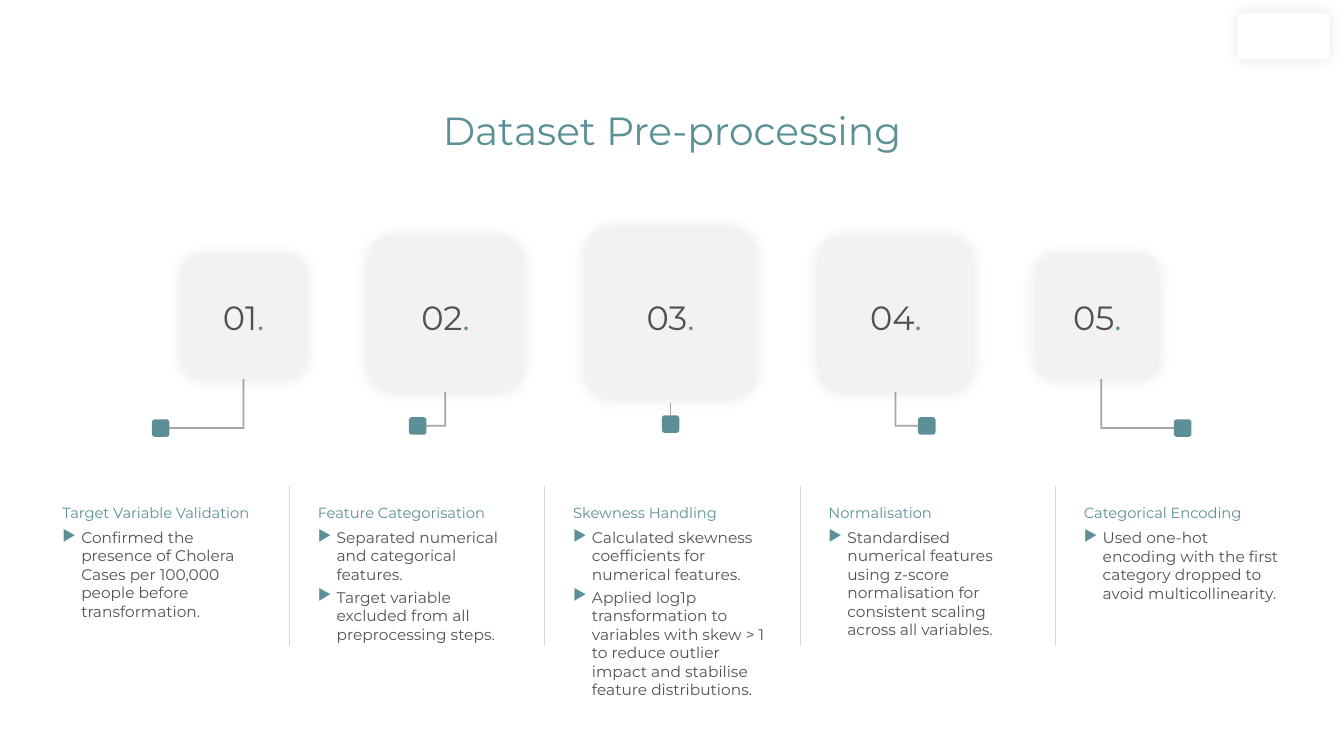
from lxml.etree import SubElement
from pptx import Presentation
from pptx.dml.color import RGBColor
from pptx.enum.shapes import MSO_CONNECTOR, MSO_SHAPE
from pptx.enum.text import MSO_AUTO_SIZE, PP_ALIGN
from pptx.oxml.ns import qn
from pptx.util import Pt

TITLE = "Dataset Pre-processing"
STEPS = [
    ("Target Variable Validation",
     ["Confirmed the presence of Cholera Cases per 100,000 people before transformation."], 5),
    ("Feature Categorisation",
     ["Separated numerical and categorical features.",
      "Target variable excluded from all preprocessing steps."], 6),
    ("Skewness Handling",
     ["Calculated skewness coefficients for numerical features.",
      "Applied log1p transformation to variables with skew > 1 to reduce outlier impact "
      "and stabilise feature distributions."], 9),
    ("Normalisation",
     ["Standardised numerical features using z-score normalisation for consistent scaling "
      "across all variables."], 6),
    ("Categorical Encoding",
     ["Used one-hot encoding with the first category dropped to avoid multicollinearity."], 4),
]
CARDS = [
    dict(center=174, top=182.2, size=88.6, stem=174, marker=(114.8, 305.8)),
    dict(center=318.2, top=169.2, size=110.9, stem=318, marker=(298.4, 304.2)),
    dict(center=479, top=162.7, size=122.4, stem=479, marker=(479, 302.9)),
    dict(center=640, top=169.2, size=110.9, stem=639.7, marker=(662, 304.2)),
    dict(center=783.8, top=182.2, size=88.6, stem=786.6, marker=(844.8, 305.8)),
]
COLORS = dict(teal="5B9196", ink="525252", card="F2F2F2", stem="A6A6A6",
              divider="D9D9D9", white="FFFFFF", shadow="000000")
FONT = "Montserrat"
COLUMN_LEFT, COLUMN_PITCH, COLUMN_WIDTH = 37.5, 182.4, 155.5
DIVIDER_LEFT, DIVIDER_TOP, DIVIDER_BOTTOM = 206.6, 347, 461.5
MARKER = 12.5
STEM_WIDTH = 1.2
STEM_GAP_TOP = 288
LINE_HEIGHT, PARAGRAPH_GAP, INDENT = 13.4, 3, 13.5

prs = Presentation()
prs.slide_width, prs.slide_height = Pt(960), Pt(540)
slide = prs.slides.add_slide(prs.slide_layouts[6])
shapes = slide.shapes


def rgb(name):
    return RGBColor.from_string(COLORS[name])


def paint(shape, color):
    shape.shadow.inherit = False
    shape.fill.solid()
    shape.fill.fore_color.rgb = rgb(color)
    shape.line.fill.background()


def add_tile(left, top, width, height, color, corner=0.16667, glow=False):
    tile = shapes.add_shape(MSO_SHAPE.ROUNDED_RECTANGLE, Pt(left), Pt(top), Pt(width), Pt(height))
    tile.adjustments[0] = corner
    paint(tile, color)
    if glow:
        effects = tile._element.spPr.find(qn("a:effectLst"))
        shadow = SubElement(effects, qn("a:outerShdw"), blurRad=str(Pt(11)), dist="0",
                            dir="0", algn="ctr", rotWithShape="0")
        tint = SubElement(shadow, qn("a:srgbClr"), val=COLORS["shadow"])
        SubElement(tint, qn("a:alpha"), val="9000")
    return tile


def add_bullet(paragraph):
    props = paragraph._p.get_or_add_pPr()
    props.set("marL", str(Pt(INDENT)))
    props.set("indent", str(-Pt(INDENT)))
    tint = SubElement(props, qn("a:buClr"))
    SubElement(tint, qn("a:srgbClr"), val=COLORS["teal"])
    SubElement(props, qn("a:buChar"), char="▶")


def add_text(paragraphs, left, top, width, height, size=11, color="ink",
             align=PP_ALIGN.LEFT, bullets=False, accent=""):
    frame = shapes.add_textbox(Pt(left), Pt(top), Pt(width), Pt(height)).text_frame
    frame.word_wrap = True
    frame.auto_size = MSO_AUTO_SIZE.SHAPE_TO_FIT_TEXT
    for index, wording in enumerate(paragraphs):
        paragraph = frame.add_paragraph() if index else frame.paragraphs[0]
        if bullets:
            add_bullet(paragraph)
        paragraph.alignment = align
        if index:
            paragraph.space_before = Pt(PARAGRAPH_GAP)
        for part, tint in ((wording, color), (accent, "teal")):
            if part:
                run = paragraph.add_run()
                run.text = part
                run.font.name = FONT
                run.font.size = Pt(size)
                run.font.color.rgb = rgb(tint)


def add_line(x, top, bottom, color, weight):
    line = shapes.add_connector(MSO_CONNECTOR.STRAIGHT, Pt(x), Pt(top), Pt(x), Pt(bottom))
    line.line.color.rgb = rgb(color)
    line.line.width = Pt(weight)
    SubElement(line._element.spPr, qn("a:effectLst"))
    return line


def add_elbow(stem, top, end, y):
    half = STEM_WIDTH / 2
    side = half if end > stem else -half
    corners = [(stem - side, top), (stem + side, top), (stem + side, y - half),
               (end, y - half), (end, y + half), (stem - side, y + half)]
    start, *rest = [(Pt(a), Pt(b)) for a, b in corners]
    outline = shapes.build_freeform(*start, scale=1.0)
    outline.add_line_segments(rest, close=True)
    paint(outline.convert_to_shape(), "stem")


add_tile(884.2, 9.4, 65.5, 33.1, "white", corner=0.096, glow=True)
add_text([TITLE], 236, 72.7, 488, 41, size=28, color="teal", align=PP_ALIGN.CENTER)

for number, card in enumerate(CARDS, 1):
    center, top, size, stem = card["center"], card["top"], card["size"], card["stem"]
    marker_x, marker_y = card["marker"]
    straight = marker_x == stem
    if not straight:
        add_elbow(stem, top + size, marker_x, marker_y)
    marker = add_tile(marker_x - MARKER / 2, marker_y - MARKER / 2, MARKER, MARKER, "teal")
    if straight:
        drop = add_line(stem, STEM_GAP_TOP, marker_y - MARKER / 2, "stem", 1)
        drop.end_connect(marker, 0)
    add_tile(center - size / 2, top, size, size, "card", glow=True)
    add_text([f"{number:02}"], center - 26.3, 208.8, 52.6, 36, size=24,
             align=PP_ALIGN.CENTER, accent=".")

for column, (heading, points, line_count) in enumerate(STEPS):
    left = COLUMN_LEFT + column * COLUMN_PITCH
    body_height = line_count * LINE_HEIGHT + (len(points) - 1) * PARAGRAPH_GAP + 7.2
    add_text([heading], left, 356.4, COLUMN_WIDTH, 20.2, size=10.5, color="teal")
    add_text(points, left, 373.7, COLUMN_WIDTH, body_height, bullets=True)
    if column:
        add_line(DIVIDER_LEFT + (column - 1) * COLUMN_PITCH,
                 DIVIDER_TOP, DIVIDER_BOTTOM, "divider", 0.25)

prs.save("out.pptx")
